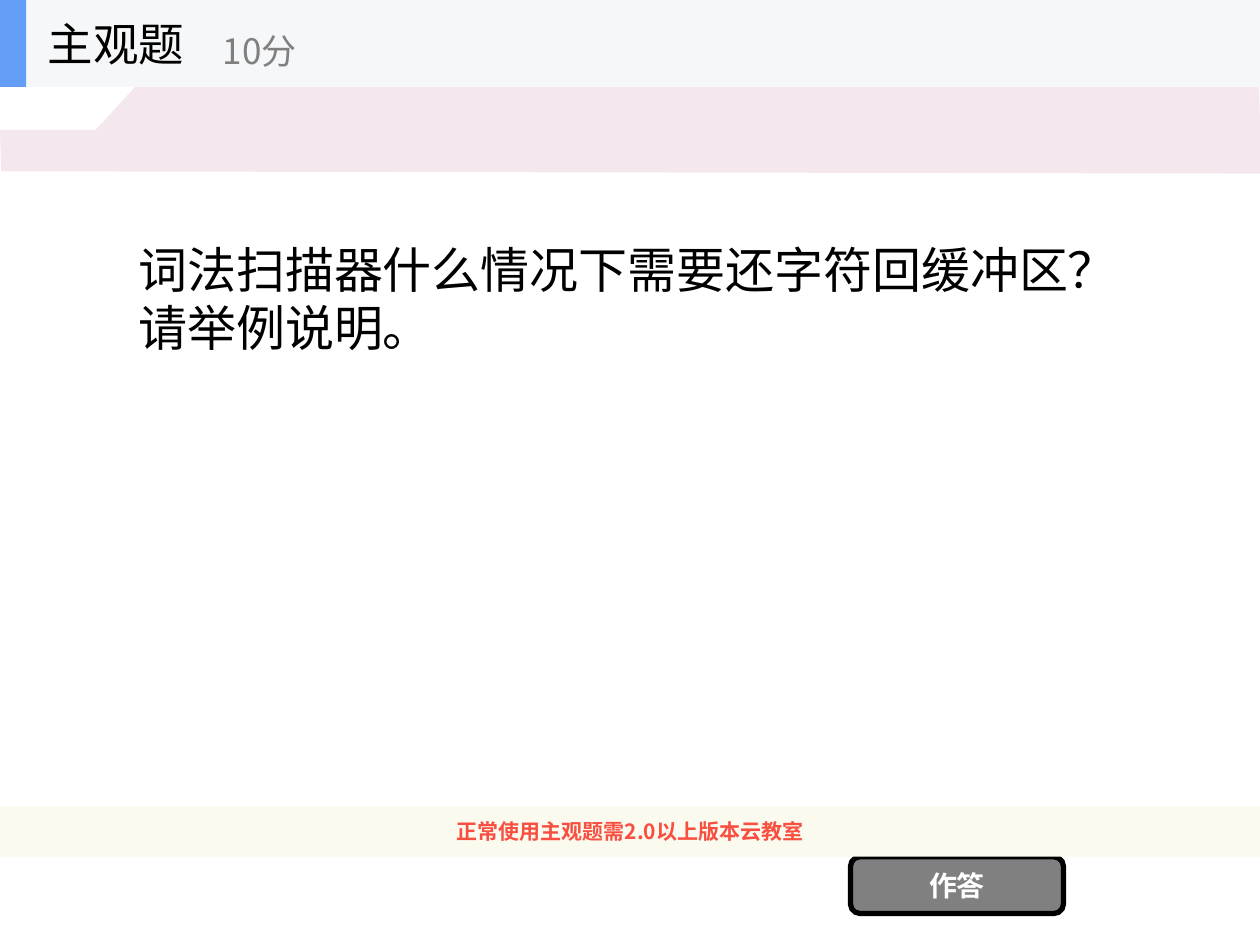
from pptx import Presentation
from pptx.dml.color import RGBColor
from pptx.enum.shapes import MSO_SHAPE
from pptx.enum.text import MSO_ANCHOR, PP_ALIGN
from pptx.oxml.ns import qn
from pptx.util import Pt
from lxml.etree import SubElement

FONT = "Noto Sans CJK SC"
WIDTH, HEIGHT = 720, 540
HEADER_HEIGHT = 49.7


def color(value):
    """Turn a hex string into a colour."""
    return RGBColor.from_string(value)


def write(shape, text, size, ink, bold=False, align=PP_ALIGN.LEFT, wrap=True, spacing=None):
    """Write one formatted paragraph, centred vertically in a shape."""
    frame = shape.text_frame
    frame.word_wrap = wrap
    frame.vertical_anchor = MSO_ANCHOR.MIDDLE
    para = frame.paragraphs[0]
    para.alignment = align
    if spacing:
        para.line_spacing = Pt(spacing)
    span = para.add_run()
    span.text = text
    span.font.size = Pt(size)
    span.font.bold = bold
    span.font.name = FONT
    span.font.color.rgb = color(ink)
    SubElement(span.font._element, qn("a:ea"), typeface=FONT)


def paint(shape, fill, line=None, weight=0):
    """Give a shape a flat fill and an optional outline."""
    shape.shadow.inherit = False
    shape.fill.solid()
    shape.fill.fore_color.rgb = color(fill)
    if line:
        shape.line.color.rgb = color(line)
        shape.line.width = Pt(weight)
    else:
        shape.line.fill.background()
    return shape


def add_block(page, left, top, width, height, fill, kind=MSO_SHAPE.RECTANGLE, **outline):
    """Add a filled preset shape."""
    shape = page.shapes.add_shape(kind, Pt(left), Pt(top), Pt(width), Pt(height))
    return paint(shape, fill, **outline)


def add_text(page, left, top, width, height, text, **style):
    """Add a text box."""
    box = page.shapes.add_textbox(Pt(left), Pt(top), Pt(width), Pt(height))
    write(box, text, **style)
    return box


def add_band(page, points, fill):
    """Add a filled polygon."""
    builder = page.shapes.build_freeform(*map(Pt, points[0]), scale=1.0)
    builder.add_line_segments([(Pt(x), Pt(y)) for x, y in points[1:]], close=True)
    return paint(builder.convert_to_shape(), fill)


def main():
    """Build the question slide."""
    deck = Presentation()
    deck.slide_width, deck.slide_height = Pt(WIDTH), Pt(HEIGHT)
    page = deck.slides.add_slide(deck.slide_layouts[6])

    add_band(page, [(0, 74.2), (54.7, 74.2), (97.2, 28), (270, 28), (283, 43.2),
                    (719.3, 42.5), (720.7, 99.2), (0.7, 97.9)], "F4E7ED")
    add_text(page, 72, 86.4, 576, 168.5, "词法扫描器什么情况下需要还字符回缓冲区？请举例说明。",
             size=28, ink="000000", spacing=33)

    answer = add_block(page, 486, 489.6, 121.7, 32.4, "808080",
                       MSO_SHAPE.ROUNDED_RECTANGLE, line="000000", weight=3)
    write(answer, "作答", size=16, ink="FFFFFF", bold=True, align=PP_ALIGN.CENTER)
    notice = add_block(page, 0, 460.8, WIDTH, 28.8, "FBFAEF")
    write(notice, "正常使用主观题需2.0以上版本云教室", size=12, ink="F84F41",
          bold=True, align=PP_ALIGN.CENTER, wrap=False)

    add_block(page, 0, 0, WIDTH, HEADER_HEIGHT, "F6F7F8")
    add_block(page, 0, 0, 15, HEADER_HEIGHT, "639EF4")
    add_text(page, 20.2, 0, 149.8, HEADER_HEIGHT, "主观题", size=26, ink="000000")
    add_text(page, 120.2, 8.6, 180, 40.3, "10分", size=20, ink="808080")

    deck.save("out.pptx")


if __name__ == "__main__":
    main()
